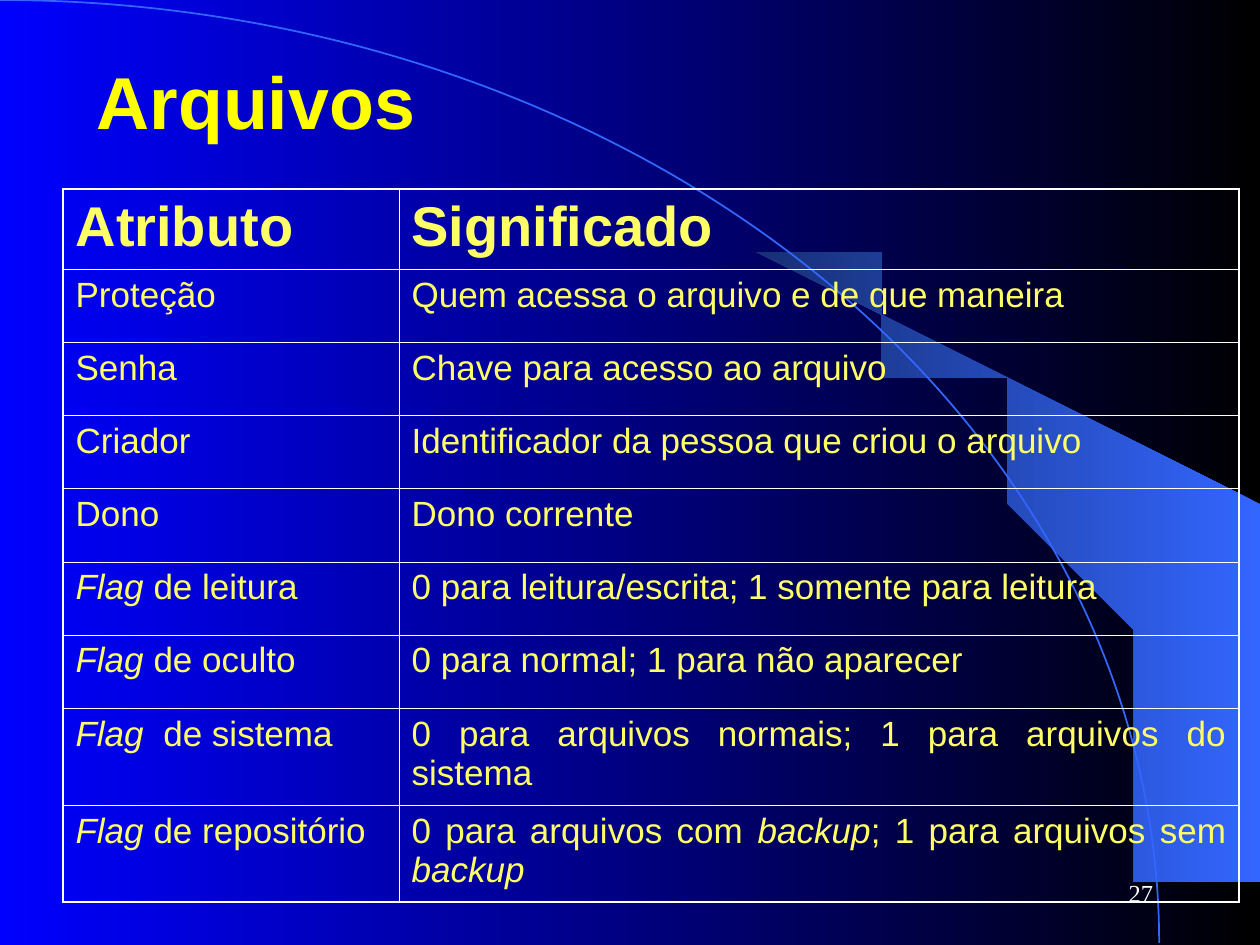
import dataclasses
import typing

import pptx
import pptx.dml.color
import pptx.enum.shapes
import pptx.enum.text
import pptx.oxml.ns
import pptx.util
from lxml import etree

# The slide is a grid of 60 columns by 45 rows
COLUMNS, ROWS = 60, 45
BLUE, WHITE, YELLOW, PALE_YELLOW = "3366FF", "FFFFFF", "FFFF00", "FFFF66"
LEFT = pptx.enum.text.PP_ALIGN.LEFT
RIGHT = pptx.enum.text.PP_ALIGN.RIGHT
JUSTIFY = pptx.enum.text.PP_ALIGN.JUSTIFY

HEADING = {"name": "Arial", "size": pptx.util.Pt(32), "bold": True}
BODY = {"name": "Arial", "size": pptx.util.Pt(20), "bold": False}
TITLE = {"name": "Arial", "size": pptx.util.Pt(42), "bold": True}
PAGE_NUMBER = {"name": "Times New Roman", "size": pptx.util.Pt(14)}


@dataclasses.dataclass
class Attribute:
    """One table row; asterisks enclose italic words."""
    name: str
    meaning: str
    height: float = 3.48
    style: dict = dataclasses.field(default_factory=lambda: BODY)
    name_align: typing.Any = JUSTIFY
    meaning_align: typing.Any = JUSTIFY


ATTRIBUTES = [
    Attribute("Atributo", "Significado", 3.84, HEADING, LEFT, LEFT),
    Attribute("Proteção", "Quem acessa o arquivo e de que maneira"),
    Attribute("Senha", "Chave para acesso ao arquivo"),
    Attribute("Criador", "Identificador da pessoa que criou o arquivo"),
    Attribute("Dono", "Dono corrente"),
    Attribute("*Flag* de leitura", "0 para leitura/escrita; 1 somente para leitura"),
    Attribute("*Flag* de oculto", "0 para normal; 1 para não aparecer"),
    Attribute("*Flag * de sistema",
              "0 para arquivos normais; 1 para arquivos do sistema", 4.62, name_align=LEFT),
    Attribute("*Flag* de repositório",
              "0 para arquivos com *backup*; 1 para arquivos sem *backup*", 4.62),
]

# Outline of the light blade, in inches
BLADE = [(9.2, 7.48), (9.99, 7.49), (9.99, 4.23), (5.89, 1.73), (6.24, 1.99),
         (6.53, 2.22), (6.85, 2.5), (7.16, 2.8), (7.62, 3.3), (8.03, 3.84),
         (8.32, 4.31), (8.58, 4.79), (8.78, 5.28), (8.93, 5.72), (9.03, 6.09),
         (9.13, 6.56), (9.17, 6.96)]


def color(hex_code: str) -> pptx.dml.color.RGBColor:
    return pptx.dml.color.RGBColor.from_string(hex_code)


def across(columns: float) -> int:
    return round(presentation.slide_width * columns / COLUMNS)


def down(rows: float) -> int:
    return round(presentation.slide_height * rows / ROWS)


def box(left: float, top: float, width: float, height: float) -> tuple:
    return across(left), down(top), across(width), down(height)


def shade(fill, start: str, end: str) -> None:
    """Fill with a gradient running from right to left."""
    fill.gradient()
    fill.gradient_angle = 180
    for stop, hex_code in zip(fill.gradient_stops, (start, end)):
        stop.color.rgb = color(hex_code)


def write(frame, text: str, style: dict, hex_code: str, align) -> None:
    paragraph = frame.paragraphs[0]
    paragraph.alignment = align
    for index, part in enumerate(text.split("*")):
        if not part:
            continue
        run = paragraph.add_run()
        run.text = part
        for key, value in style.items():
            setattr(run.font, key, value)
        run.font.italic = index % 2 == 1
        run.font.color.rgb = color(hex_code)


def draw_borders(cell, widths: dict) -> None:
    properties = cell._tc.get_or_add_tcPr()
    for side, points in widths.items():
        line = etree.SubElement(properties, pptx.oxml.ns.qn(f"a:ln{side}"),
                                w=str(pptx.util.Pt(points)))
        solid = etree.SubElement(line, pptx.oxml.ns.qn("a:solidFill"))
        etree.SubElement(solid, pptx.oxml.ns.qn("a:srgbClr"), val=WHITE)


def draw_backdrop(slide) -> None:
    shade(slide.background.fill, "000000", "0000FF")

    outline = slide.shapes.build_freeform(*BLADE[0], scale=pptx.util.Inches(1))
    outline.add_line_segments(BLADE[1:], close=True)
    blade = outline.convert_to_shape()
    blade.shadow.inherit = False
    shade(blade.fill, BLUE, "172F75")
    blade.line.fill.background()

    # Quarter arc centred on the lower left corner
    arc = slide.shapes.add_shape(pptx.enum.shapes.MSO_SHAPE.ARC,
                                 *box(-55.2, 0, 110.4, 89.8))
    arc.shadow.inherit = False
    arc.fill.background()
    arc.line.color.rgb = color(BLUE)
    arc.line.width = pptx.util.Pt(1)


def draw_table(slide, attributes: typing.List[Attribute]) -> None:
    height = sum(attribute.height for attribute in attributes)
    table = slide.shapes.add_table(len(attributes), 2, *box(3, 9, 56, height)).table
    table.first_row = table.horz_banding = False
    for column, width in zip(table.columns, (16, 40)):
        column.width = across(width)

    thin, thick = 0.45, 1.08
    last = len(attributes) - 1
    for row, attribute in enumerate(attributes):
        table.rows[row].height = down(attribute.height)
        entries = [(attribute.name, attribute.name_align),
                   (attribute.meaning, attribute.meaning_align)]
        for column, (text, align) in enumerate(entries):
            cell = table.cell(row, column)
            write(cell.text_frame, text, attribute.style, PALE_YELLOW, align)
            draw_borders(cell, {"L": thick if column == 0 else thin,
                                "R": thick if column == 1 else thin,
                                "T": thick if row == 0 else thin,
                                "B": thick if row == last else thin})
            cell.fill.background()


presentation = pptx.Presentation()
presentation.slide_width = pptx.util.Inches(10)
presentation.slide_height = pptx.util.Inches(7.5)
slide = presentation.slides.add_slide(presentation.slide_layouts[5])
draw_backdrop(slide)

# Title
title = slide.shapes.title
title.left, title.top, title.width, title.height = box(4, 1, 54, 7.5)
title.text_frame.auto_size = pptx.enum.text.MSO_AUTO_SIZE.NONE
title.text_frame.vertical_anchor = pptx.enum.text.MSO_ANCHOR.MIDDLE
write(title.text_frame, "Arquivos", TITLE, YELLOW, LEFT)

draw_table(slide, ATTRIBUTES)

# Page number
page = slide.shapes.add_textbox(*box(43, 41, 12.5, 3)).text_frame
page.word_wrap = True
page.vertical_anchor = pptx.enum.text.MSO_ANCHOR.MIDDLE
write(page, "27", PAGE_NUMBER, WHITE, RIGHT)

presentation.save("out.pptx")
